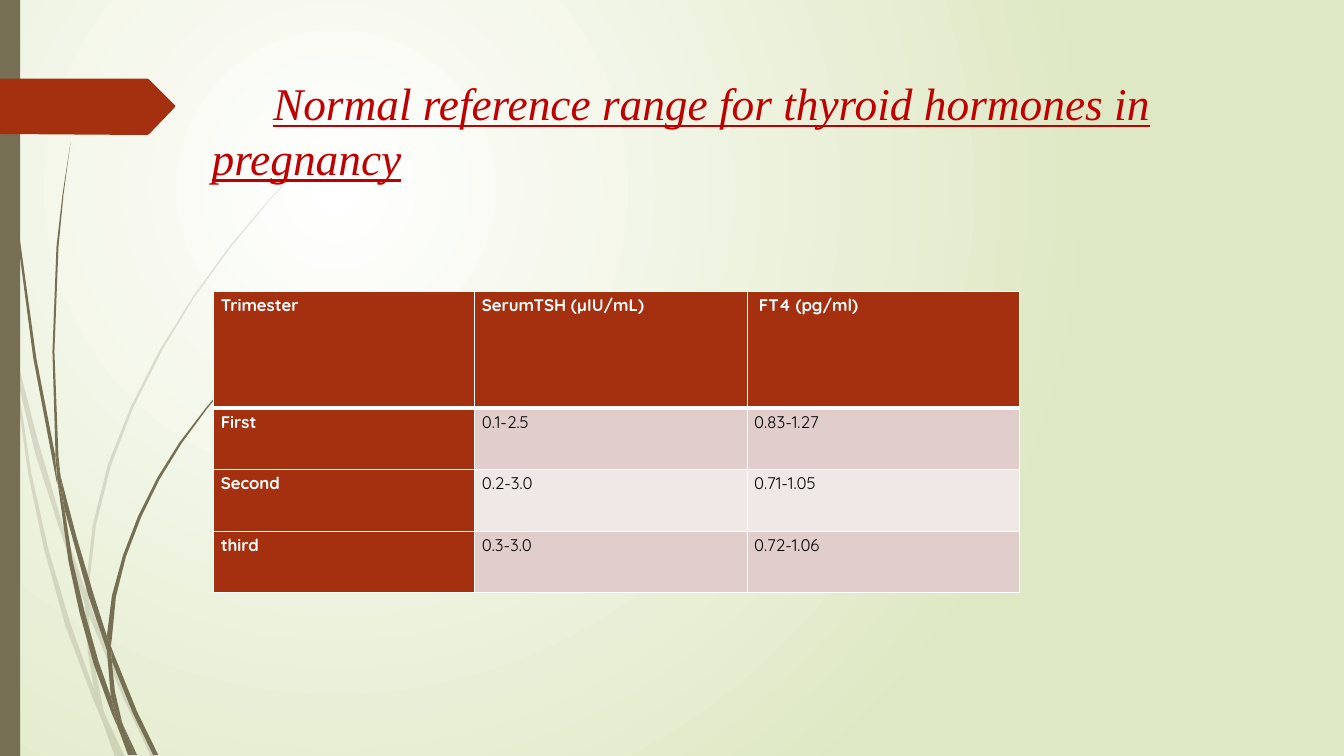
import lxml.etree
import pptx
import pptx.dml.color
import pptx.enum.shapes
import pptx.enum.text
import pptx.oxml.ns
import pptx.util

RGB = pptx.dml.color.RGBColor
PX = 9144  # EMU per px, 100 px to the inch
WHITE = RGB(0xFF, 0xFF, 0xFF)
BLACK = RGB(0, 0, 0)
LIME = RGB(0xDF, 0xE8, 0xC4)
OLIVE = RGB(0x76, 0x6F, 0x54)
RUST = RGB(0xA5, 0x30, 0x10)
RED = RGB(0xC0, 0, 0)
PINK = RGB(0xE1, 0xCD, 0xCC)
PALE = RGB(0xF0, 0xE8, 0xE7)

# Outlines of the grass blades, in px on the slide
FAINT = [
    [(11, 350), (9, 322), (0, 282), (0, 299), (10, 344)],
    [(58, 522), (84, 599), (85, 586), (62, 520), (37, 435), (14, 345), (17, 376), (35, 450)],
    [(92, 607), (88, 596), (88, 610), (123, 694), (150, 751), (155, 751), (127, 692)],
    [(119, 751), (124, 751), (105, 711)],
    [(93, 683), (70, 619), (48, 545), (31, 469), (17, 376), (11, 350), (28, 470), (44, 546),
     (65, 621), (92, 693), (101, 714), (99, 707)],
    [(84, 599), (87, 646), (93, 683), (96, 692), (105, 711), (103, 706), (91, 646), (88, 610),
     (88, 608)],
    [(88, 584), (95, 522), (110, 462), (132, 405), (160, 349), (192, 296), (229, 245),
     (268, 198), (290, 175), (312, 154), (312, 153), (289, 175), (268, 197), (228, 244),
     (191, 295), (158, 348), (130, 403), (107, 461), (92, 521), (85, 584), (85, 586), (88, 596)],
    [(101, 714), (114, 751), (119, 751)],
    [(88, 608), (88, 610), (88, 596), (85, 586), (84, 599)],
    [(96, 692), (93, 683), (99, 707), (101, 714), (119, 751), (105, 711)],
]
DARK = [
    [(7, 110), (17, 233), (33, 355), (56, 477), (57, 481), (55, 457), (55, 453), (36, 355),
     (19, 232), (8, 109), (5, 48), (4, 0), (3, 0), (4, 48)],
    [(88, 592), (106, 645), (106, 633), (106, 631), (93, 590), (76, 533), (60, 472), (64, 505)],
    [(113, 649), (110, 641), (111, 656), (132, 708), (152, 749), (157, 749), (136, 706)],
    [(110, 691), (98, 657), (84, 607), (72, 556), (64, 505), (57, 477), (68, 557), (79, 608),
     (93, 659), (111, 708), (117, 722), (116, 717)],
    [(60, 472), (58, 453), (54, 349), (58, 245), (63, 193), (70, 141), (62, 193), (56, 245),
     (52, 349), (55, 449)],
    [(133, 749), (136, 749), (122, 719)],
    [(57, 477), (64, 505), (60, 472), (55, 449), (55, 453)],
    [(111, 633), (115, 592), (125, 552), (140, 513), (158, 476), (180, 440), (205, 406),
     (231, 374), (245, 359), (261, 344), (260, 344), (245, 358), (231, 373), (204, 405),
     (178, 439), (156, 474), (137, 512), (122, 551), (111, 591), (106, 631), (110, 641)],
    [(117, 722), (127, 749), (131, 749)],
    [(106, 645), (110, 691), (116, 706), (122, 719), (121, 716), (114, 686), (111, 656),
     (109, 651)],
    [(106, 645), (109, 651), (111, 656), (110, 641), (106, 631), (106, 633)],
    [(116, 706), (110, 691), (116, 717), (117, 722), (130, 749), (133, 749), (122, 719)],
]
ROWS = [
    ["Trimester", "SerumTSH (µIU/mL)", " FT4 (pg/ml)"],
    ["First", "0.1-2.5", "0.83-1.27"],
    ["Second", "0.2-3.0", "0.71-1.05"],
    ["third", "0.3-3.0", "0.72-1.06"],
]


def add_tag(host, tag, **attrs):
    return lxml.etree.SubElement(host, pptx.oxml.ns.qn(tag), attrs)


def paint(shape, color):
    shape.shadow.inherit = False
    shape.fill.solid()
    shape.fill.fore_color.rgb = color
    shape.line.fill.background()


def trace(shapes, points, color):
    """Draw a closed outline through the points."""
    pen = shapes.build_freeform(*points[0], scale=PX)
    pen.add_line_segments(points[1:], close=True)
    shape = pen.convert_to_shape()
    paint(shape, color)
    return shape


def add_back(slide):
    fill = slide.background.fill
    fill.gradient()
    for stop, color in zip(fill.gradient_stops, (WHITE, LIME)):
        stop.color.rgb = color
    grad = slide.element.find(".//" + pptx.oxml.ns.qn("a:gradFill"))
    grad.remove(grad.find(pptx.oxml.ns.qn("a:lin")))
    glow = add_tag(grad, "a:path", path="circle")
    add_tag(glow, "a:fillToRect", l="50000", t="50000", r="100000", b="100000")


def add_grass(slide):
    faint = slide.shapes.add_group_shape()
    for blade in FAINT:
        shape = trace(faint.shapes, blade, OLIVE)
        tint = shape.element.spPr.find(".//" + pptx.oxml.ns.qn("a:srgbClr"))
        add_tag(tint, "a:alpha", val="20000")
    dark = slide.shapes.add_group_shape()
    for blade in DARK:
        trace(dark.shapes, blade, OLIVE)


def add_edge(slide, x, y, w, h):
    kind = pptx.enum.shapes.MSO_SHAPE.RECTANGLE
    paint(slide.shapes.add_shape(kind, x * PX, y * PX, w * PX, h * PX), OLIVE)


def add_flag(slide, x, y, w, h):
    """Draw the ribbon with its blunt arrow point."""
    mid, neck = y + h // 2, x + w - 26
    points = [(x, y), (neck - 2, y), (neck, y + 1), (x + w - 1, mid - 1), (x + w, mid),
              (x + w - 1, mid + 2), (neck, y + h), (neck - 2, y + h + 1), (x, y + h)]
    trace(slide.shapes, points, RUST)


def add_title(slide, x, y, w, h):
    box = slide.shapes.add_textbox(x * PX, y * PX, w * PX, h * PX)
    frame = box.text_frame
    frame.word_wrap = True
    frame.margin_top = 11 * PX
    para = frame.paragraphs[0]
    para.text = "Normal reference range for thyroid hormones in pregnancy"
    para._p.get_or_add_pPr().set("indent", str(61 * PX))
    font = para.font
    font.name, font.size = "Times New Roman", pptx.util.Pt(32.4)
    font.italic = font.underline = True
    font.color.rgb = RED


def add_rules(cell, top, base):
    """Rule a cell in white; top and base are widths in points."""
    props = cell._tc.get_or_add_tcPr()
    for side, width in zip("LRTB", (1, 1, top, base)):
        line = add_tag(props, "a:ln" + side, w=str(pptx.util.Pt(width)))
        add_tag(add_tag(line, "a:solidFill"), "a:srgbClr", val=str(WHITE))


def add_grid(slide, x, y, w, h):
    table = slide.shapes.add_table(4, 3, x * PX, y * PX, w * PX, h * PX).table
    for col, wide in zip(table.columns, (w - 540, 270, 270)):
        col.width = wide * PX
    for row, high in zip(table.rows, (h - 183, 61, 61, 61)):
        row.height = high * PX
    for r, texts in enumerate(ROWS):
        for c, text in enumerate(texts):
            cell = table.cell(r, c)
            head = r == 0 or c == 0
            add_rules(cell, 3 if r == 1 else 1, 3 if r == 0 else 1)
            cell.fill.solid()
            cell.fill.fore_color.rgb = RUST if head else PINK if r % 2 else PALE
            cell.margin_left = cell.margin_right = 7 * PX
            cell.margin_top = cell.margin_bottom = 0
            para = cell.text_frame.paragraphs[0]
            para.text = text
            para.alignment = pptx.enum.text.PP_ALIGN.JUSTIFY
            para.line_spacing = 1.15
            font = para.font
            font.name, font.size, font.bold = "Quicksand", pptx.util.Pt(12), head
            font.color.rgb = WHITE if head else BLACK


def main():
    deck = pptx.Presentation()
    deck.slide_width, deck.slide_height = 1333 * PX, 750 * PX
    slide = deck.slides.add_slide(deck.slide_layouts[6])
    add_back(slide)
    add_grass(slide)
    add_edge(slide, 0, 0, 20, 750)
    add_flag(slide, 0, 78, 174, 55)
    add_title(slide, 200, 64, 975, 140)
    add_grid(slide, 212, 289, 799, 299)
    deck.save("out.pptx")


if __name__ == "__main__":
    main()
